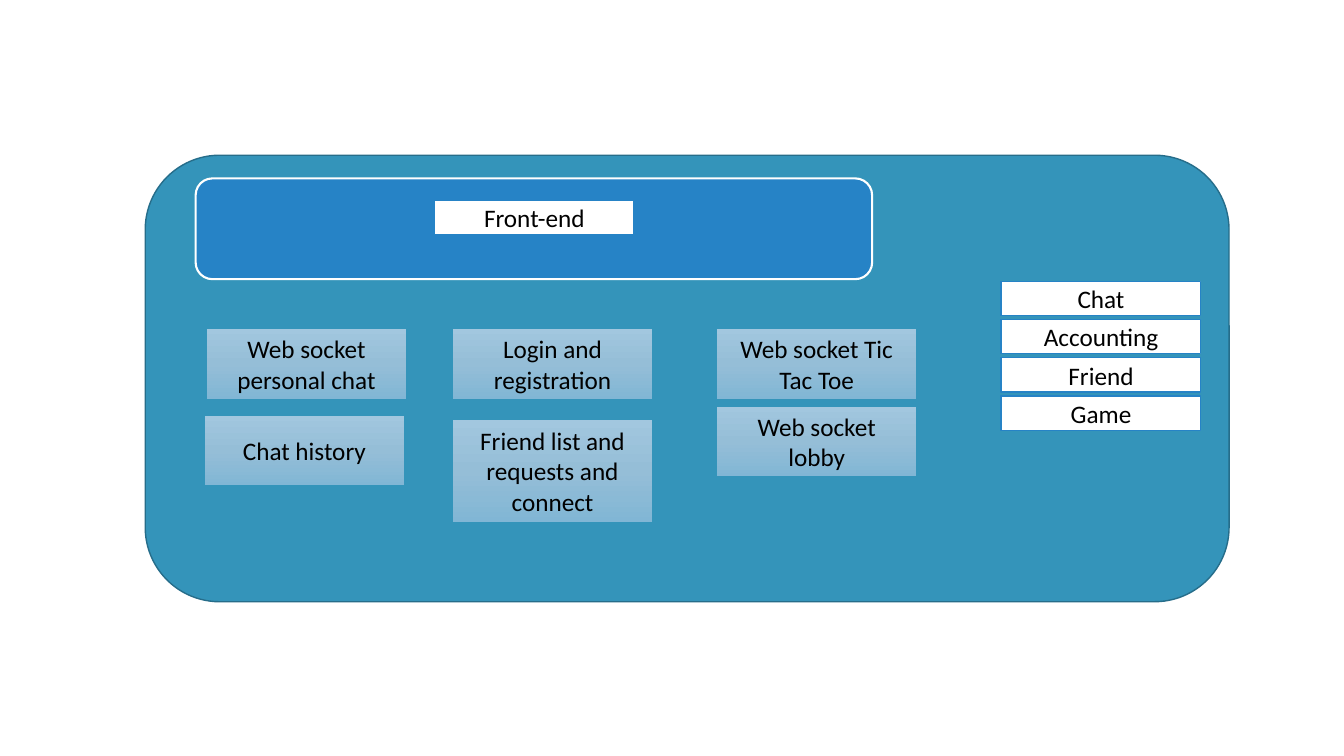
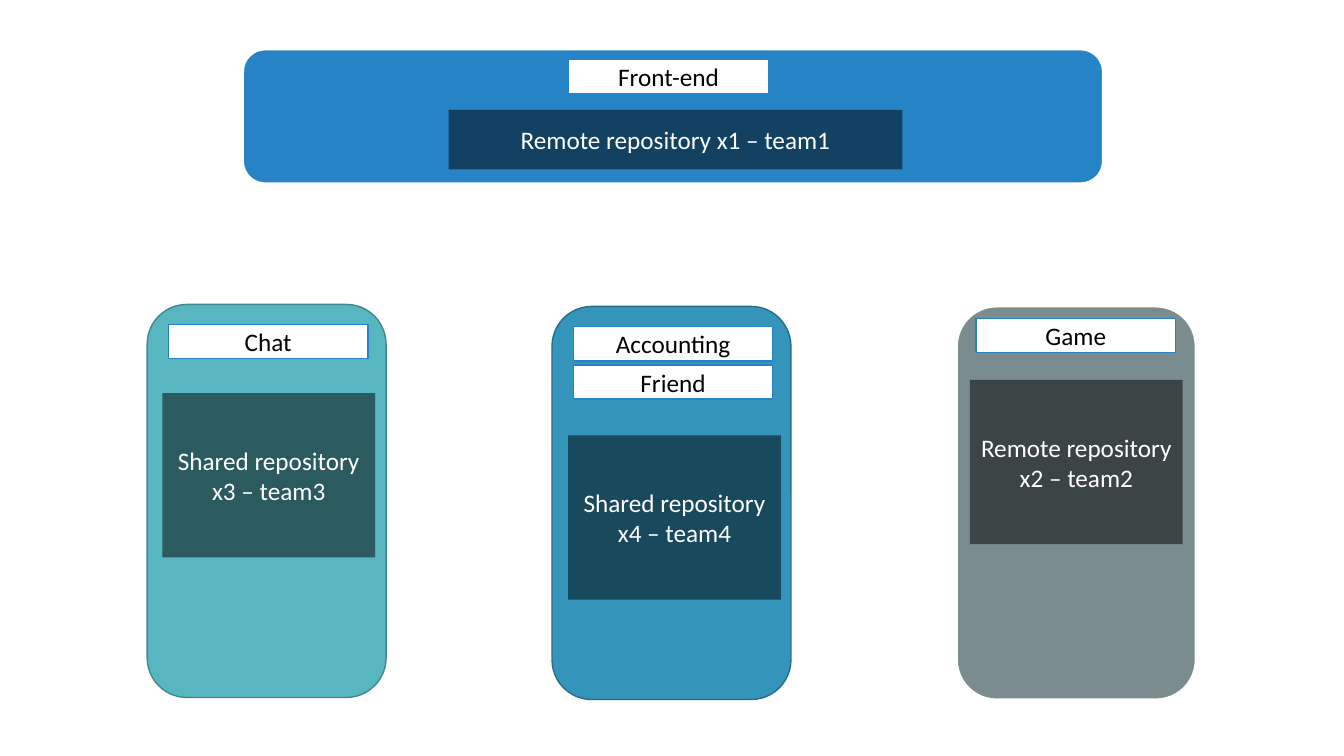
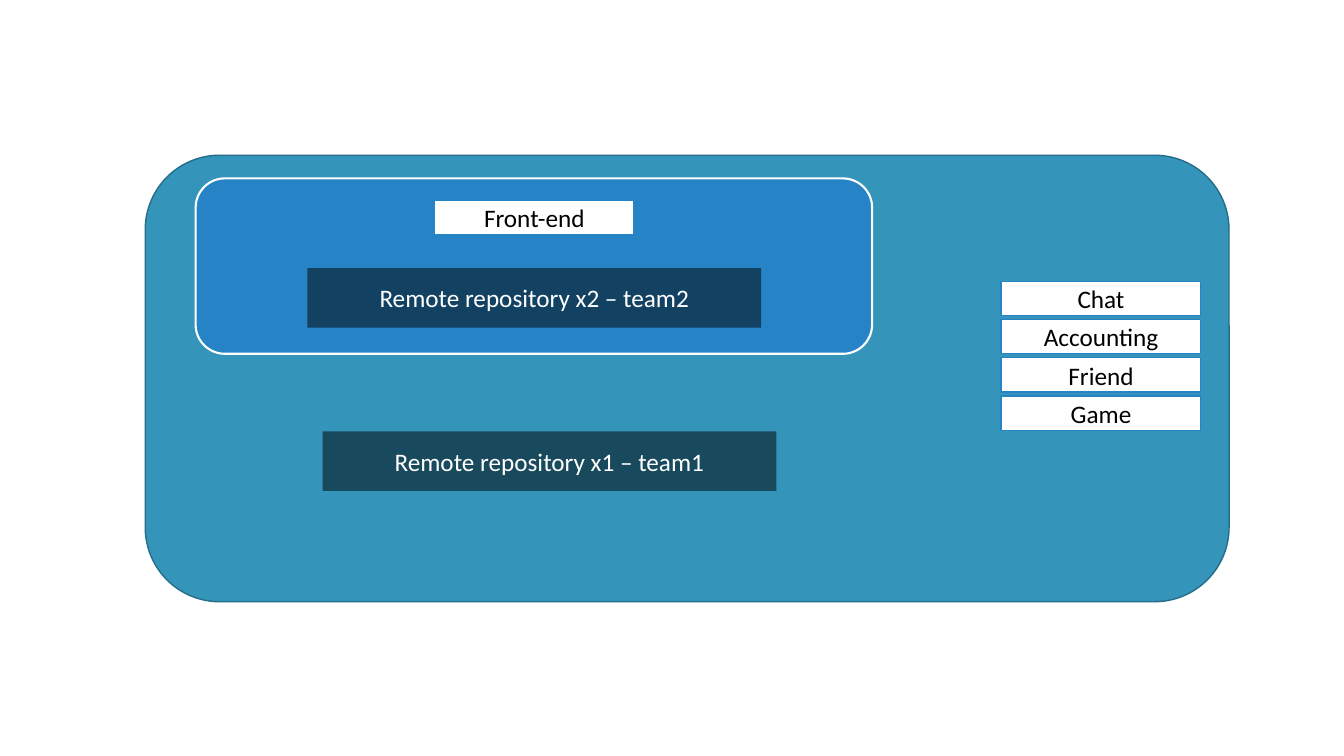
from copy import deepcopy
from pptx import Presentation
from pptx.dml.color import RGBColor
from pptx.enum.shapes import MSO_SHAPE
from pptx.enum.text import MSO_ANCHOR, PP_ALIGN
from pptx.oxml.ns import qn
from pptx.util import Inches, Pt
from lxml.etree import SubElement

# Shared look
WHITE = RGBColor(0xFF, 0xFF, 0xFF)
BLACK = RGBColor(0x00, 0x00, 0x00)
BLUE = RGBColor(0x26, 0x83, 0xC6)
OCEAN = RGBColor(0x34, 0x94, 0xBA)
OCEAN_EDGE = RGBColor(0x26, 0x6D, 0x8A)
TEAL = RGBColor(0x58, 0xB6, 0xC0)
TEAL_EDGE = RGBColor(0x41, 0x87, 0x8E)
GREY = RGBColor(0x7A, 0x8C, 0x8E)
FEATURE_STOPS = [RGBColor(0xA2, 0xC7, 0xDF), RGBColor(0x95, 0xBE, 0xD7),
                 RGBColor(0x81, 0xB6, 0xD5)]
FONT, TEXT_SIZE = "Calibri", Pt(18)

# Shared sizes, in inches
TAG_W, TAG_H, TAG_STEP = 1.98, 0.34, 0.38
FEATURE_W, FEATURE_H = 1.98, 0.7
REPO_BAR = (4.5, 0.59)
REPO_CARD = (2.11, 1.63)
COLUMN_X, COLUMN_STEP, COLUMN_W, COLUMN_H = 1.46, 4.015, 2.37, 3.9

# Content
SERVICES = ["Chat", "Accounting", "Friend", "Game"]
FEATURES = [  # left, top, height, text
    (2.05, 3.26, FEATURE_H, "Web socket personal chat"),
    (2.03, 4.12, FEATURE_H, "Chat history"),
    (4.49, 3.26, FEATURE_H, "Login and registration"),
    (4.49, 4.16, 1.02, "Friend list and requests and connect"),
    (7.11, 3.26, FEATURE_H, "Web socket Tic Tac Toe"),
    (7.11, 4.03, FEATURE_H, "Web socket lobby"),
]
COLUMNS = [  # top, fill, edge, edge width, tags, tag offset, repository, its offset
    (3.02, TEAL, TEAL_EDGE, 1, ["Chat"], (0.21, 0.2),
     "Shared repository x3 – team3", (0.15, 0.88)),
    (3.04, OCEAN, OCEAN_EDGE, 1, ["Accounting", "Friend"], (0.21, 0.2),
     "Shared repository x4 – team4", (0.16, 1.28)),
    (3.04, GREY, WHITE, 1.5, ["Game"], (0.19, 0.12),
     "Remote repository x2 – team2", (0.13, 0.73)),
]


def add_box(s, kind, x, y, w, h, fill=None, line=None, line_w=1, text="", color=BLACK):
    sp = s.shapes.add_shape(kind, Inches(x), Inches(y), Inches(w), Inches(h))
    sp.shadow.inherit = False
    if fill is not None:
        sp.fill.solid()
        sp.fill.fore_color.rgb = fill
    if line is None:
        sp.line.fill.background()
    else:
        sp.line.color.rgb = line
        sp.line.width = Pt(line_w)
    if text:
        tf = sp.text_frame
        tf.word_wrap = True
        tf.vertical_anchor = MSO_ANCHOR.MIDDLE
        p = tf.paragraphs[0]
        p.alignment = PP_ALIGN.CENTER
        r = p.add_run()
        r.text = text
        r.font.name, r.font.size = FONT, TEXT_SIZE
        r.font.color.rgb = color
    return sp


def add_panel(s, x, y, w, h, fill, line, line_w):
    add_box(s, MSO_SHAPE.ROUNDED_RECTANGLE, x, y, w, h, fill, line, line_w)


def add_tags(s, x, y, names):
    for i, name in enumerate(names):
        add_box(s, MSO_SHAPE.RECTANGLE, x, y + i * TAG_STEP, TAG_W, TAG_H,
                WHITE, BLUE, text=name)


def add_repository(s, x, y, size, text):
    """Half-transparent black box with white text."""
    sp = add_box(s, MSO_SHAPE.RECTANGLE, x, y, *size, BLACK, text=text, color=WHITE)
    color = sp._element.spPr.find(qn("a:solidFill")).find(qn("a:srgbClr"))
    SubElement(color, qn("a:alpha")).set("val", "50000")


def add_feature(s, x, y, h, text):
    """Box with a three-stop gradient from top to bottom."""
    sp = add_box(s, MSO_SHAPE.RECTANGLE, x, y, FEATURE_W, h, None, OCEAN, 0.5, text)
    sp.fill.gradient()
    sp.fill.gradient_angle = 270
    stops = sp._element.spPr.find(qn("a:gradFill")).find(qn("a:gsLst"))
    stops.insert(1, deepcopy(stops[0]))
    for i, (stop, color) in enumerate(zip(sp.fill.gradient_stops, FEATURE_STOPS)):
        stop.position = i / 2
        stop.color.rgb = color


def add_monolith(prs, front_h):
    """Slide with one service panel that holds the front-end."""
    s = prs.slides.add_slide(prs.slide_layouts[6])
    add_panel(s, 1.44, 1.54, 10.75, 4.43, OCEAN, OCEAN_EDGE, 1)
    add_panel(s, 1.94, 1.77, 6.71, front_h, BLUE, WHITE, 1.5)
    add_tags(s, 4.31, 1.99, ["Front-end"])
    add_tags(s, 9.93, 2.79, SERVICES)
    return s


def main():
    prs = Presentation()
    prs.slide_width, prs.slide_height = Inches(13.33), Inches(7.5)

    # Slide 1: features in one service
    s = add_monolith(prs, 1)
    for feature in FEATURES:
        add_feature(s, *feature)

    # Slide 2: front-end above three services
    s = prs.slides.add_slide(prs.slide_layouts[6])
    add_panel(s, 2.41, 0.49, 8.53, 1.33, BLUE, WHITE, 1.5)
    add_tags(s, 5.64, 0.59, ["Front-end"])
    add_repository(s, 4.45, 1.09, REPO_BAR, "Remote repository x1 – team1")
    for i, (top, fill, edge, edge_w, tags, tag_at, repo, repo_at) in enumerate(COLUMNS):
        x = COLUMN_X + i * COLUMN_STEP
        add_panel(s, x, top, COLUMN_W, COLUMN_H, fill, edge, edge_w)
        add_tags(s, x + tag_at[0], top + tag_at[1], tags)
        add_repository(s, x + repo_at[0], top + repo_at[1], REPO_CARD, repo)

    # Slide 3: repositories of the one service
    s = add_monolith(prs, 1.74)
    add_repository(s, 3.2, 4.28, REPO_BAR, "Remote repository x1 – team1")
    add_repository(s, 3.05, 2.66, REPO_BAR, "Remote repository x2 – team2")

    prs.save("out.pptx")


if __name__ == "__main__":
    main()
